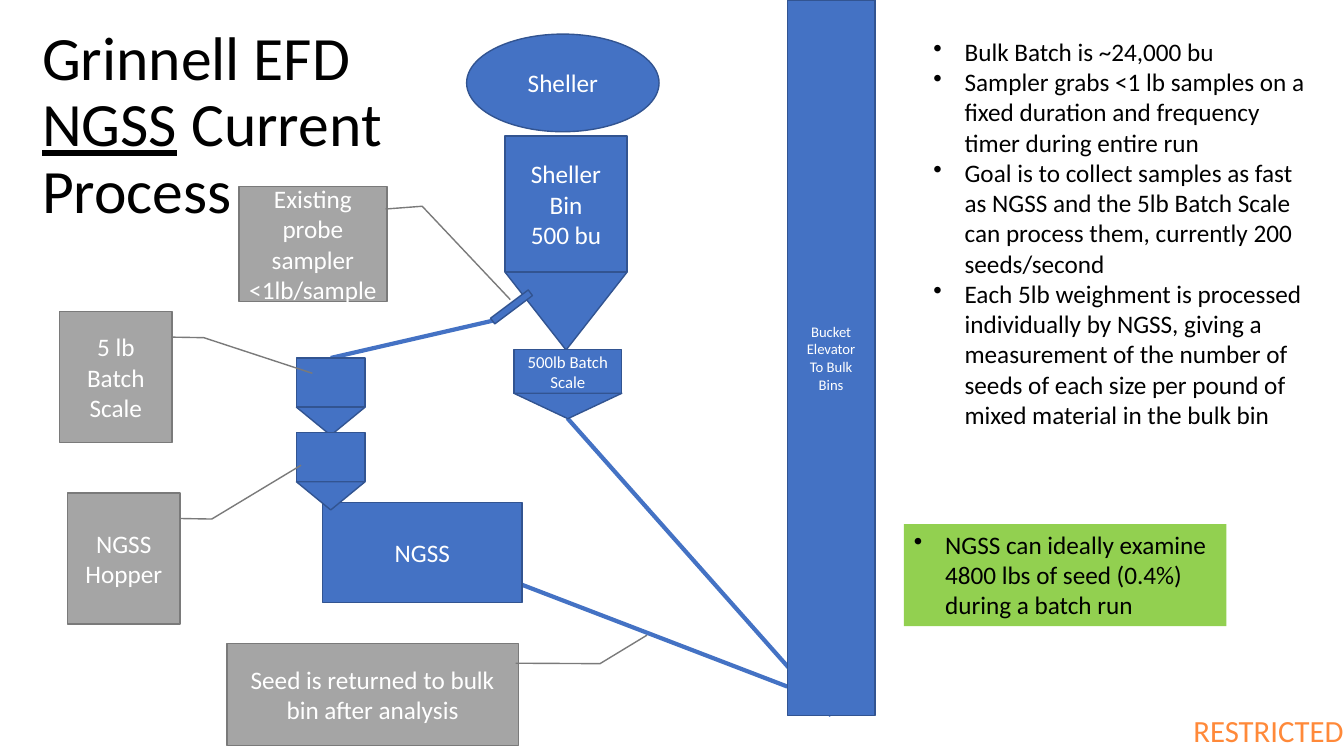
from lxml.etree import SubElement
from pptx import Presentation
from pptx.dml.color import RGBColor
from pptx.enum.shapes import MSO_CONNECTOR, MSO_SHAPE
from pptx.enum.text import MSO_ANCHOR, PP_ALIGN
from pptx.oxml.ns import qn
from pptx.util import Cm, Pt

BLUE, NAVY = "4472C4", "325491"
GRAY, DARK = "A5A5A5", "7A7A7A"
GREEN, ORANGE = "92D050", "FF8939"
WHITE, BLACK = "FFFFFF", "000000"

TITLE = [["Grinnell EFD"], ["NGSS", " Current"], ["Process"]]
KEY = "NGSS"
NOTES = [
    "Bulk Batch is ~24,000 bu",
    "Sampler grabs <1 lb samples on a fixed duration and frequency timer during entire run",
    "Goal is to collect samples as fast as NGSS and the 5lb Batch Scale can process them, "
    "currently 200 seeds/second",
    "Each 5lb weighment is processed individually by NGSS, giving a measurement of the number "
    "of seeds of each size per pound of mixed material in the bulk bin",
]
IDEAL = ["NGSS can ideally examine 4800 lbs of seed (0.4%) during a batch run"]
LABEL = "RESTRICTED"

PIPES = {
    "sample": (12.42, 8.08, 8.33, 9.02),
    "batch": (14.3, 10.54, 20.94, 18.03),
    "return": (11.89, 14.25, 19.84, 17.3),
}
UNITS = {
    "ngss": (MSO_SHAPE.RECTANGLE, (8.13, 12.67, 5.03, 2.51), ["NGSS"], 18),
    "sheller": (MSO_SHAPE.OVAL, (11.76, 0.86, 4.85, 2.46), ["Sheller"], 18),
    "lift": (MSO_SHAPE.RECTANGLE, (19.84, 0, 2.21, 18.03),
             ["Bucket Elevator", "To Bulk Bins"], 10.5),
}
HOPPERS = {
    "bin": ((12.73, 3.43, 3.07), 3.43, 1.96, ["Sheller Bin", "500 bu"], 18),
    "scale": ((12.95, 8.81, 2.72), 1.1, 0.64, ["500lb Batch Scale"], 12),
    "small": ((7.47, 9.02, 1.73), 1.24, 0.71, [], 18),
    "feed": ((7.47, 10.9, 1.73), 1.24, 0.71, [], 18),
}
SAMPLER = (12.8, 7.14, 0.18, 1.19)
TILT = 53.1
START = (0.196, 0.991)
CALLOUTS = [
    ((6.02, 4.7, 3.73, 2.9), ["Existing probe sampler", "<1lb/sample"],
     (0.172, 1.239, 0.983, 1.834)),
    ((1.5, 7.85, 2.84, 3.3), ["5 lb Batch Scale"], (0.2, 1.281, 0.472, 2.244)),
    ((5.72, 16.21, 7.34, 2.57), ["Seed is returned to bulk bin after analysis"],
     (0.2, 1.281, -0.079, 1.442)),
    ((1.7, 12.42, 2.84, 3.3), ["NGSS Hopper"], (0.2, 1.281, -0.211, 2.073)),
]

deck = Presentation()
deck.slide_width, deck.slide_height = Cm(33.87), Cm(19.05)
slide = deck.slides.add_slide(deck.slide_layouts[6])
shapes = slide.shapes


def color(code):
    return RGBColor.from_string(code)


def write(shape, lines, size, ink, align=PP_ALIGN.LEFT, anchor=MSO_ANCHOR.TOP):
    frame = shape.text_frame
    frame.word_wrap = True
    frame.vertical_anchor = anchor
    for i, line in enumerate(lines):
        para = frame.paragraphs[0] if i == 0 else frame.add_paragraph()
        for part in [line] if isinstance(line, str) else line:
            para.add_run().text = part
        para.alignment = align
        para.font.name = "Calibri"
        para.font.size = Pt(size)
        para.font.color.rgb = color(ink)
    return frame


def bullet(frame):
    for para in frame.paragraphs:
        props = para._p.get_or_add_pPr()
        props.set("marL", str(Cm(0.79)))
        props.set("indent", str(-Cm(0.79)))
        mark = SubElement(props, qn("a:buChar"))
        mark.set("char", "•")
        props.insert(0, mark)


def text(box, lines, size, ink, **style):
    return write(shapes.add_textbox(*map(Cm, box)), lines, size, ink, **style)


def draw(kind, box, lines=(), size=18, fill=BLUE, edge=NAVY):
    shape = shapes.add_shape(kind, *map(Cm, box))
    shape.shadow.inherit = False
    shape.fill.solid()
    shape.fill.fore_color.rgb = color(fill)
    shape.line.color.rgb = color(edge)
    shape.line.width = Pt(1)
    write(shape, lines, size, WHITE, PP_ALIGN.CENTER, MSO_ANCHOR.MIDDLE)
    return shape


def pipe(ends):
    line = shapes.add_connector(MSO_CONNECTOR.STRAIGHT, *map(Cm, ends))
    line.line.color.rgb = color(BLUE)
    line.line.width = Pt(3)
    SubElement(line._element.spPr, qn("a:effectLst"))
    return line


def hopper(spot, body, cone, lines, size):
    left, top, width = spot
    tank = draw(MSO_SHAPE.RECTANGLE, (left, top, width, body), lines, size)
    tip = draw(MSO_SHAPE.ISOSCELES_TRIANGLE, (left, top + body, width, cone))
    tip.rotation = 180
    return tank


label = text((28.65, 17.75, 5.21, 1.3), [LABEL], 22, ORANGE,
             align=PP_ALIGN.RIGHT, anchor=MSO_ANCHOR.MIDDLE)
label.margin_left = label.margin_right = label.margin_top = label.margin_bottom = 0

title = text((0.81, 0.56, 29.21, 3.68), TITLE, 44, BLACK)
for para in title.paragraphs:
    para.line_spacing = 0.9
    for run in para.runs:
        if run.text == KEY:
            run.font.underline = True

pipes = {name: pipe(ends) for name, ends in PIPES.items()}
units = {name: draw(*unit) for name, unit in UNITS.items()}
tanks = {name: hopper(*tank) for name, tank in HOPPERS.items()}
pipes["sample"].end_connect(tanks["small"], 0)
pipes["batch"].end_connect(units["lift"], 2)
draw(MSO_SHAPE.RECTANGLE, SAMPLER).rotation = TILT

for box, lines, bends in CALLOUTS:
    note = draw(MSO_SHAPE.LINE_CALLOUT_2, box, lines, fill=GRAY, edge=DARK)
    for i, value in enumerate(START + bends):
        note.adjustments[i] = value

bullet(text((23.27, 0.79, 10.19, 10.26), NOTES, 18, BLACK))
ideal = shapes.add_textbox(*map(Cm, (22.78, 13.21, 8.13, 2.57)))
ideal.fill.solid()
ideal.fill.fore_color.rgb = color(GREEN)
bullet(write(ideal, IDEAL, 18, BLACK))

deck.save("out.pptx")
